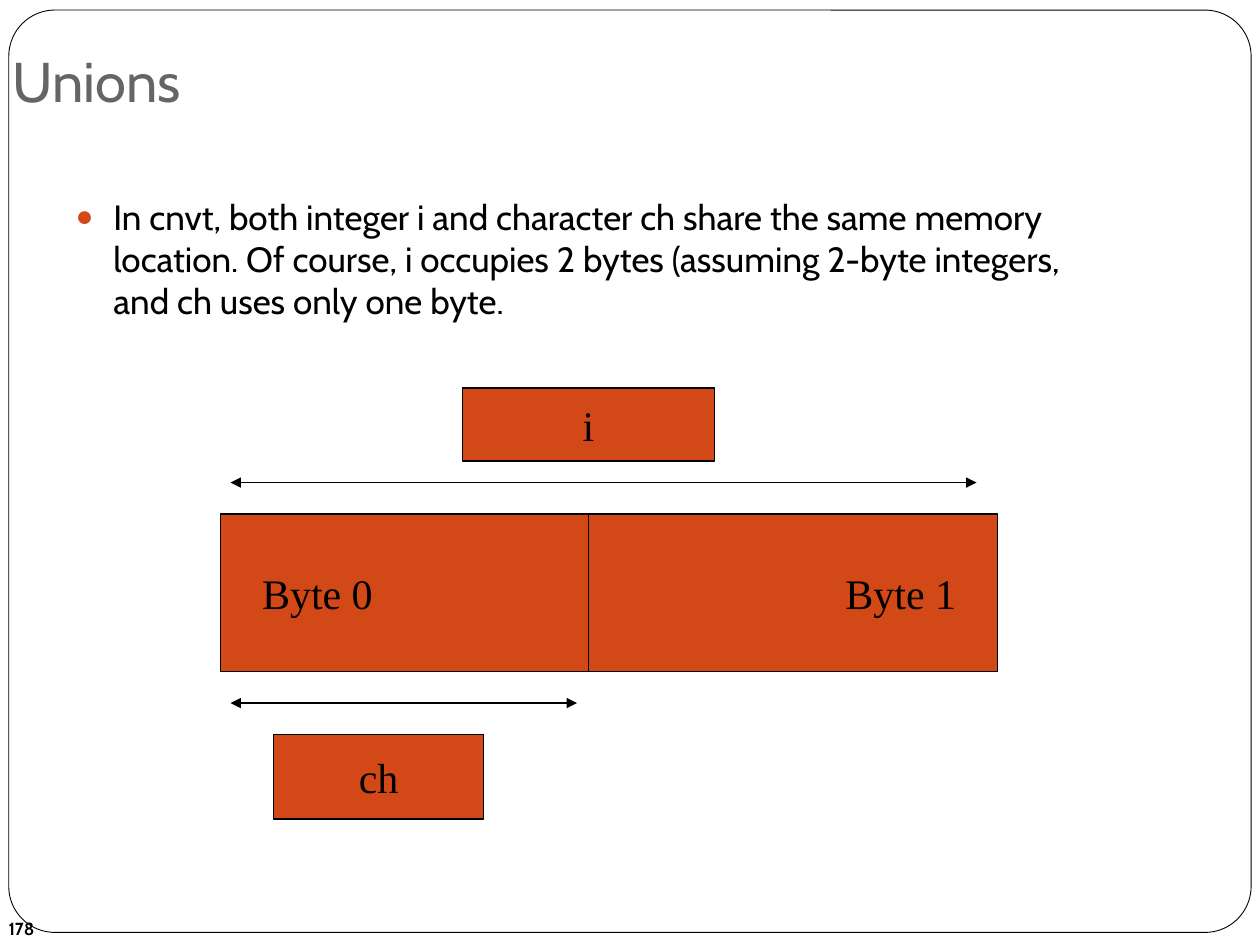
"""Build the slide on how a union shares memory between i and ch."""
import lxml.etree
import pptx
import pptx.dml.color
import pptx.enum.shapes
import pptx.enum.text
import pptx.oxml.ns
import pptx.util

Inches = pptx.util.Inches
Pt = pptx.util.Pt
Align = pptx.enum.text.PP_ALIGN
Anchor = pptx.enum.text.MSO_ANCHOR
Preset = pptx.enum.shapes.MSO_SHAPE

TITLE = "Unions"
BODY = ("In cnvt, both integer i and character ch share the same memory location. "
        "Of course, i occupies 2 bytes (assuming 2-byte integers, and ch uses only one byte.")
PAGE_NUMBER = "178"
MEMORY = {"text": "Byte 0\tByte 1", "at": (1.75, 4.08, 6.17, 1.25), "inset": 0.33, "tab": 4.63}
VARIABLES = [("ch", (2.17, 5.83, 1.67, 0.67)), ("i", (3.67, 3.08, 2, 0.58))]
DIVIDER = (4.67, 4.08, 4.67, 5.33)
SPANS = [(1.83, 3.83, 7.75, 3.83), (1.83, 5.58, 4.58, 5.58)]

THEME = {
    "text_font": "Cabin", "diagram_font": "Times New Roman",
    "ink": "000000", "title": "696464", "accent": "D34817", "paper": "FFFFFF",
    "title_size": 32, "body_size": 20, "diagram_size": 24, "number_size": 10,
    "frame_line": 0.5, "diagram_line": 0.75,
}


def color(name):
    return pptx.dml.color.RGBColor.from_string(THEME[name])


def add_xml(parent, tag, **attributes):
    return lxml.etree.SubElement(parent, pptx.oxml.ns.qn(tag), attributes)


def place(shape, at):
    shape.left, shape.top, shape.width, shape.height = map(Inches, at)


def write(shape, text, font, size, ink="ink", align=Align.LEFT, anchor=Anchor.MIDDLE,
          wrap=True, bold=False):
    frame = shape.text_frame
    frame.text = text
    frame.auto_size = pptx.enum.text.MSO_AUTO_SIZE.NONE
    frame.word_wrap = wrap
    frame.vertical_anchor = anchor
    para = frame.paragraphs[0]
    para.alignment = align
    for span in para.runs:
        span.font.name = THEME[font]
        span.font.size = Pt(THEME[size])
        span.font.color.rgb = color(ink)
        span.font.bold = bold
    return para


def add_box(page, preset, at, fill, line):
    box = page.shapes.add_shape(preset, *map(Inches, at))
    box.shadow.inherit = False
    box.fill.solid()
    box.fill.fore_color.rgb = color(fill)
    box.line.color.rgb = color("ink")
    box.line.width = Pt(THEME[line])
    return box


def add_line(page, ends, arrows=False):
    line = page.shapes.add_connector(
        pptx.enum.shapes.MSO_CONNECTOR.STRAIGHT, *map(Inches, ends))
    line.line.color.rgb = color("ink")
    line.line.width = Pt(THEME["diagram_line"])
    if arrows:
        outline = line.line._get_or_add_ln()
        for tag in ("a:headEnd", "a:tailEnd"):
            add_xml(outline, tag, type="triangle")
    add_xml(line._element.spPr, "a:effectLst")


def add_frame(page):
    frame = add_box(page, Preset.ROUNDED_RECTANGLE, (0.07, 0.08, 9.86, 7.32),
                    "paper", "frame_line")
    frame.adjustments[0] = 0.05
    page.shapes._spTree.insert(2, frame._element)


def add_text(page):
    title, body = page.shapes.title, page.placeholders[1]
    place(title, (0, 0, 8.27, 1))
    write(title, TITLE, "text_font", "title_size", "title", anchor=Anchor.BOTTOM)
    title.text_frame.margin_bottom = Inches(0.1)

    place(body, (0.5, 1.5, 8.33, 5.5))
    para = write(body, BODY, "text_font", "body_size", anchor=Anchor.TOP)
    para.space_before = Pt(5.8)
    properties = para._p.get_or_add_pPr()
    properties.set("marL", str(Inches(0.3)))
    properties.set("indent", str(Inches(-0.3)))
    add_xml(add_xml(properties, "a:buClr"), "a:srgbClr", val=THEME["accent"])
    add_xml(properties, "a:buSzPct", val="85000")
    add_xml(properties, "a:buChar", char="●")

    number = page.shapes.add_textbox(*map(Inches, (-0.03, 7.17, 2.33, 0.4)))
    write(number, PAGE_NUMBER, "text_font", "number_size", bold=True)


def add_diagram(page):
    memory = add_box(page, Preset.RECTANGLE, MEMORY["at"], "accent", "diagram_line")
    para = write(memory, MEMORY["text"], "diagram_font", "diagram_size")
    memory.text_frame.margin_left = Inches(MEMORY["inset"])
    tabs = add_xml(para._p.get_or_add_pPr(), "a:tabLst")
    add_xml(tabs, "a:tab", pos=str(Inches(MEMORY["tab"])), algn="l")

    add_line(page, DIVIDER)
    for ends in SPANS:
        add_line(page, ends, arrows=True)
    for name, at in VARIABLES:
        box = add_box(page, Preset.RECTANGLE, at, "accent", "diagram_line")
        write(box, name, "diagram_font", "diagram_size", align=Align.CENTER, wrap=False)


def main():
    deck = pptx.Presentation()
    deck.slide_width, deck.slide_height = Inches(10), Inches(7.5)
    page = deck.slides.add_slide(deck.slide_layouts[1])
    add_frame(page)
    add_text(page)
    add_diagram(page)
    deck.save("out.pptx")


if __name__ == "__main__":
    main()
